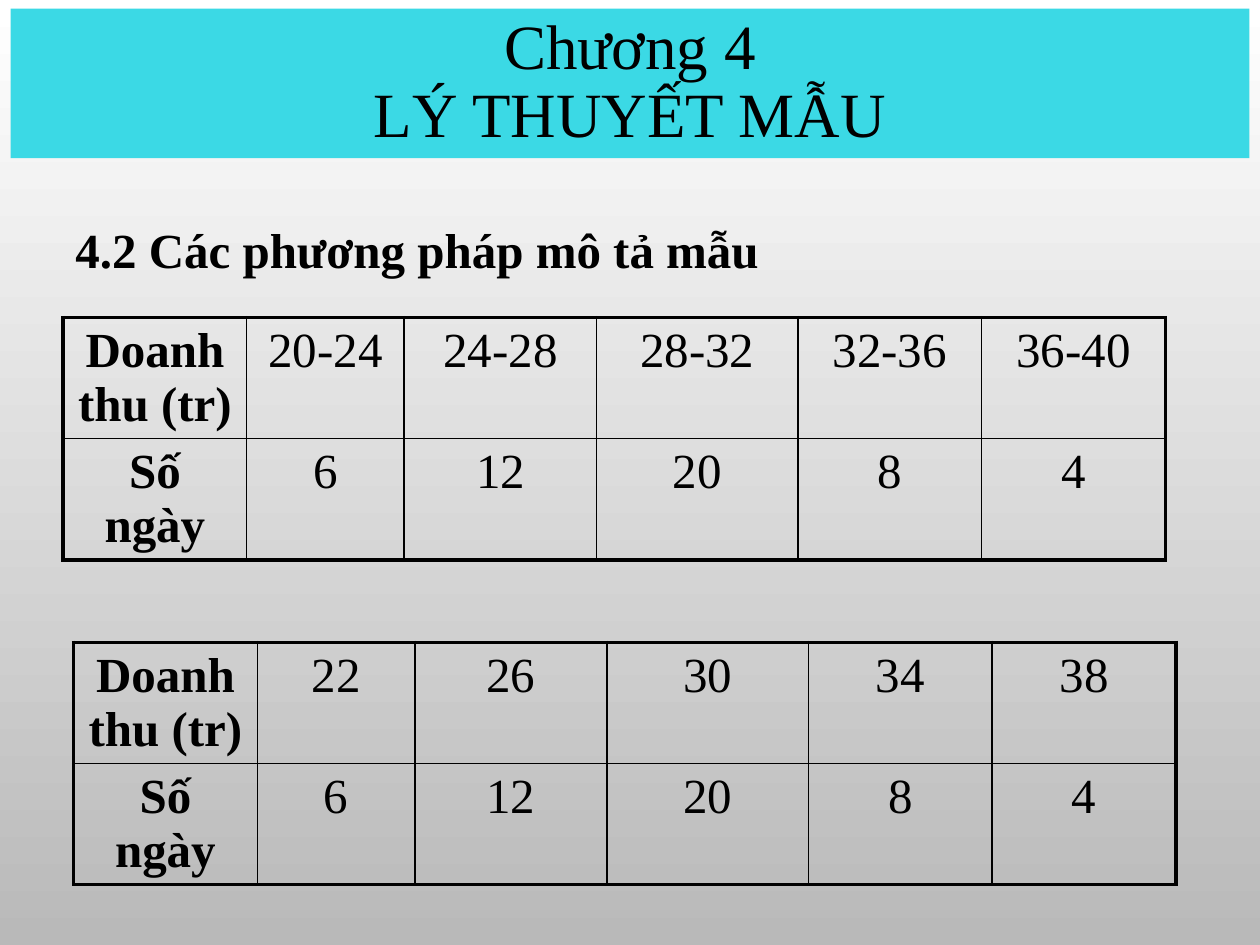
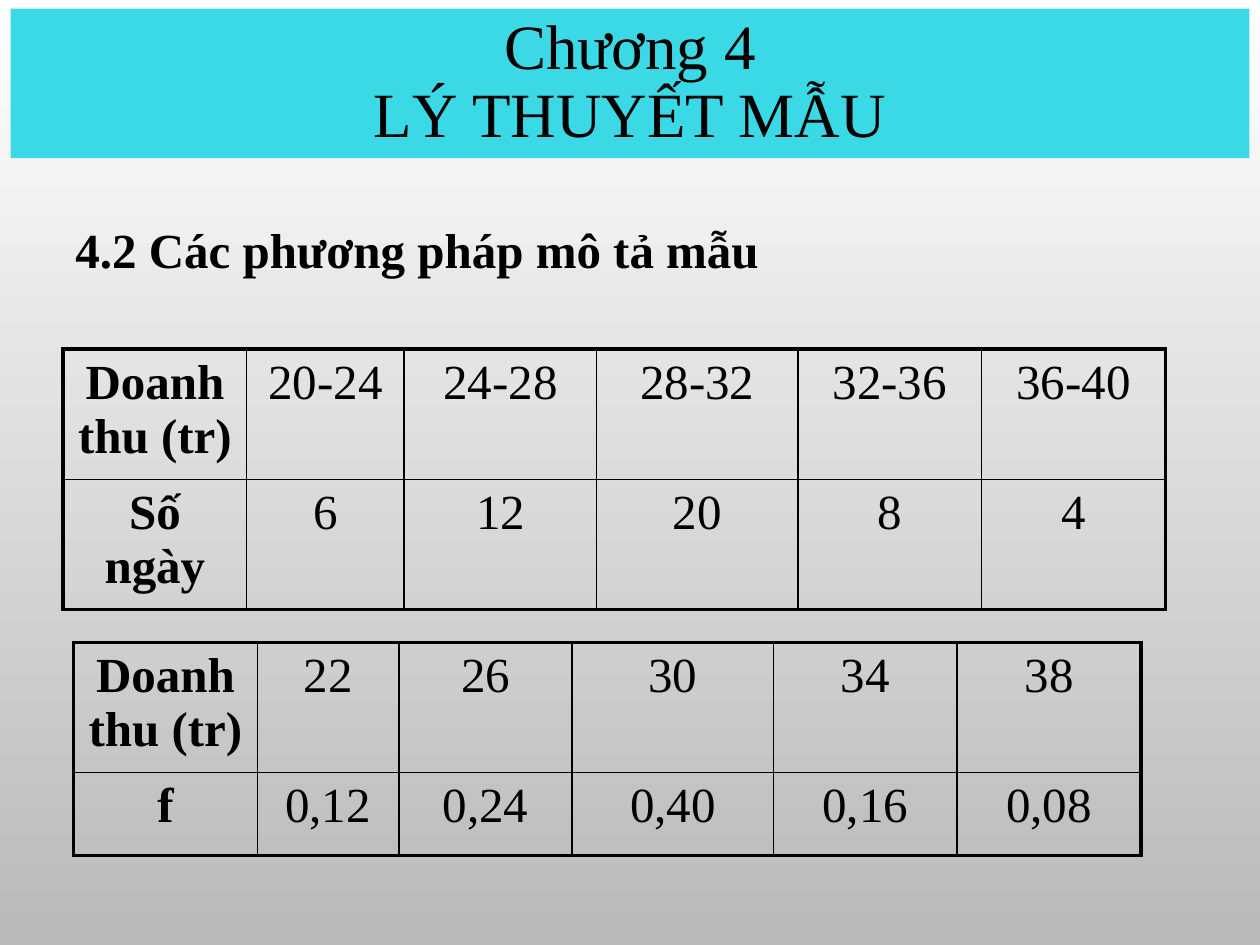
from lxml import etree
from pptx import Presentation
from pptx.dml import color
from pptx.enum import shapes, text
from pptx.oxml import ns
from pptx.util import Pt

COLORS = {"ink": "000000", "band": "3BD9E5", "bg_top": "FFFFFF", "bg_bottom": "B9B9B9"}
FONT = "Times New Roman"
TITLE = "Chương 4\vLÝ THUYẾT MẪU"
SECTION = "4.2 Các phương pháp mô tả mẫu"
ROW_HEIGHTS = (55, 47.5)
WIDE_COLS = (105, 90, 110, 115, 105, 105)
NARROW_COLS = (105, 81, 99, 115, 105, 105)
OUTER, INNER = 2.25, 1

REVENUE_RANGES = ("Doanh thu (tr)", "20-24", "24-28", "28-32", "32-36", "36-40")
REVENUE_MIDPOINTS = ("Doanh thu (tr)", "22", "26", "30", "34", "38")
DAYS = ("Số ngày", "6", "12", "20", "8", "4")
FREQUENCIES = ("f", "0,12", "0,24", "0,40", "0,16", "0,08")


def rgb(name):
    return color.RGBColor.from_string(COLORS[name])


class Deck:
    """Holds the shared style and the slide being built."""

    def __init__(self):
        self.prs = Presentation()
        self.prs.slide_width, self.prs.slide_height = Pt(720), Pt(540)
        self.s = None

    def new_slide(self):
        self.s = self.prs.slides.add_slide(self.prs.slide_layouts[6])
        fill = self.s.background.fill
        fill.gradient()
        fill.gradient_angle = 270
        for stop, name in zip(fill.gradient_stops, ("bg_top", "bg_bottom")):
            stop.color.rgb = rgb(name)

    def style(self, p, size, bold=False, align=text.PP_ALIGN.CENTER):
        p.alignment = align
        for r in p.runs:
            r.font.name, r.font.size, r.font.bold = FONT, Pt(size), bold
            r.font.color.rgb = rgb("ink")

    def title(self):
        sp = self.s.shapes.add_shape(shapes.MSO_SHAPE.RECTANGLE,
                                     Pt(6), Pt(5), Pt(708), Pt(85.5))
        sp.shadow.inherit = False
        sp.fill.solid()
        sp.fill.fore_color.rgb = rgb("band")
        sp.line.fill.background()
        tf = sp.text_frame
        tf.text = TITLE
        tf.vertical_anchor = text.MSO_ANCHOR.MIDDLE
        p = tf.paragraphs[0]
        p.line_spacing = 0.9
        self.style(p, 36)

    def section(self):
        sp = self.s.shapes.add_textbox(Pt(0), Pt(108), Pt(558), Pt(52))
        tf = sp.text_frame
        tf.word_wrap = True
        tf.vertical_anchor = text.MSO_ANCHOR.MIDDLE
        tf.text = SECTION
        p = tf.paragraphs[0]
        p.line_spacing = 1.5
        p._p.get_or_add_pPr().set("indent", str(Pt(36)))
        self.style(p, 28, bold=True, align=text.PP_ALIGN.LEFT)

    def borders(self, cell, widths):
        """Draw the left, right, top and bottom cell lines, in that order."""
        tc_pr = cell._tc.get_or_add_tcPr()
        for i, (side, width) in enumerate(zip("LRTB", widths)):
            ln = etree.Element(ns.qn(f"a:ln{side}"), w=str(Pt(width)))
            fill = etree.SubElement(ln, ns.qn("a:solidFill"))
            etree.SubElement(fill, ns.qn("a:srgbClr"), val=COLORS["ink"])
            tc_pr.insert(i, ln)

    def table(self, left, top, cols, rows):
        frame = self.s.shapes.add_table(len(rows), len(cols), Pt(left), Pt(top),
                                        Pt(sum(cols)), Pt(sum(ROW_HEIGHTS)))
        table = frame.table
        table.first_row = table.horz_banding = False
        for col, width in zip(table.columns, cols):
            col.width = Pt(width)
        for row, height in zip(table.rows, ROW_HEIGHTS):
            row.height = Pt(height)
        last_row, last_col = len(rows) - 1, len(cols) - 1
        for i, values in enumerate(rows):
            for j, value in enumerate(values):
                cell = table.cell(i, j)
                cell.text_frame.text = value
                cell.fill.background()
                self.style(cell.text_frame.paragraphs[0], 28, bold=j == 0)
                edges = (j == 0, j == last_col, i == 0, i == last_row)
                self.borders(cell, [OUTER if edge else INNER for edge in edges])


def main():
    deck = Deck()
    slides = (
        (181.5, WIDE_COLS, DAYS),
        (199.5, NARROW_COLS, FREQUENCIES),
    )
    for ranges_top, midpoint_cols, midpoint_values in slides:
        deck.new_slide()
        deck.table(36, ranges_top, WIDE_COLS, (REVENUE_RANGES, DAYS))
        deck.table(42, 367, midpoint_cols, (REVENUE_MIDPOINTS, midpoint_values))
        deck.section()
        deck.title()
    deck.prs.save("out.pptx")


if __name__ == "__main__":
    main()
